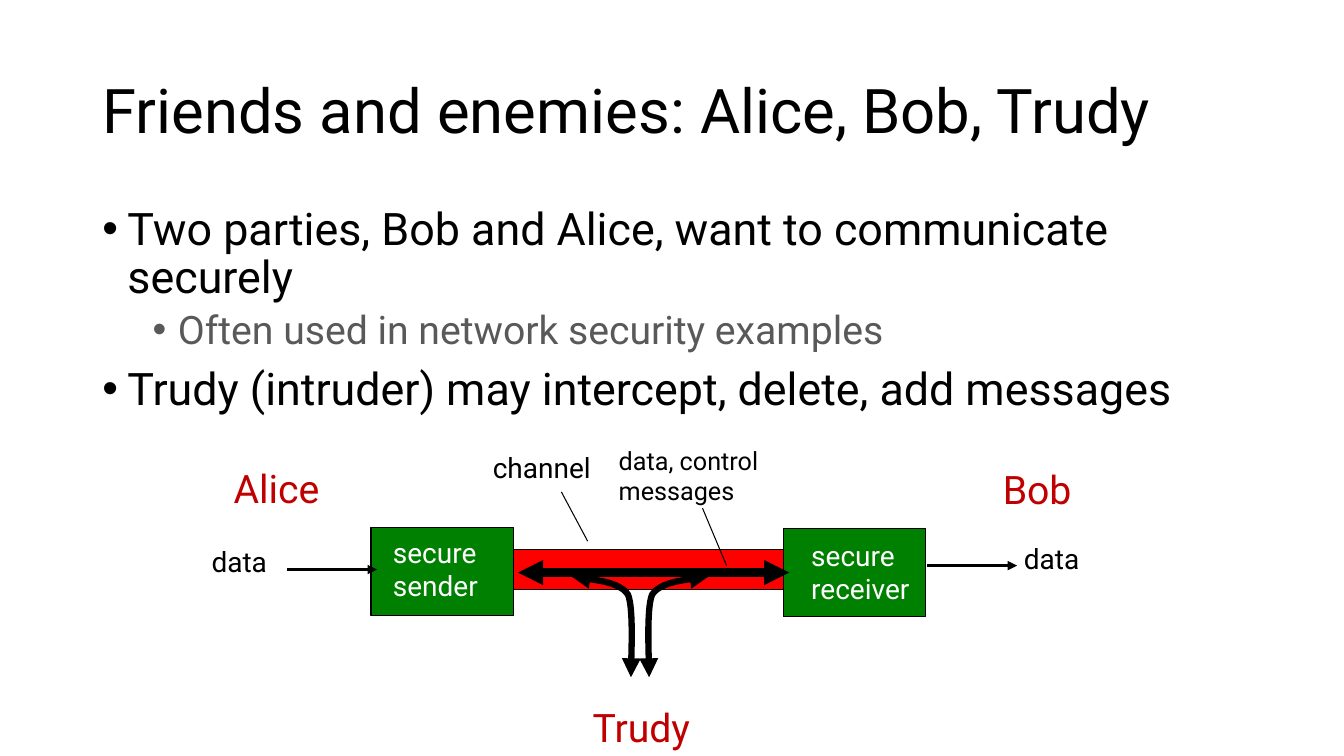
from lxml import etree
from pptx import Presentation
from pptx.dml.color import RGBColor
from pptx.enum.shapes import MSO_CONNECTOR, MSO_SHAPE
from pptx.enum.text import MSO_ANCHOR, MSO_AUTO_SIZE, PP_ALIGN
from pptx.oxml.ns import qn
from pptx.util import Pt

STRAIGHT = MSO_CONNECTOR.STRAIGHT
RECT = MSO_SHAPE.RECTANGLE
LEFT = PP_ALIGN.LEFT
MIDDLE = MSO_ANCHOR.MIDDLE
GROW = MSO_AUTO_SIZE.SHAPE_TO_FIT_TEXT
FONT = "Roboto"
COLORS = {"black": "000000", "gray": "595959", "white": "FFFFFF",
          "green": "008000", "red": "FF0000", "name": "C00000"}


def add_run(para, text, size, color):
    run = para.add_run()
    run.text = text
    run.font.name = FONT
    run.font.size = Pt(size)
    run.font.color.rgb = RGBColor.from_string(COLORS[color])


def set_line(shape, width, ends=()):
    """Give a black line, with arrowheads at the named ends."""
    shape.line.color.rgb = RGBColor.from_string(COLORS["black"])
    shape.line.width = Pt(width)
    for end in ends:
        etree.SubElement(shape.line._ln, qn("a:" + end), type="triangle")


deck = Presentation()
deck.slide_width, deck.slide_height = Pt(960), Pt(540)
slide = deck.slides.add_slide(deck.slide_layouts[5])
shapes = slide.shapes

# Title
title = shapes.title
title.left, title.top, title.width, title.height = Pt(66), Pt(28.8), Pt(828), Pt(104.4)
title.text_frame.vertical_anchor = MIDDLE
para = title.text_frame.paragraphs[0]
para.alignment = LEFT
para.line_spacing = 0.9
add_run(para, "Friends and enemies: Alice, Bob, Trudy", 44, "black")

# Bullets: text, level, size, color, space before
bullets = [
    ("Two parties, Bob and Alice, want to communicate securely", 0, 32, "black", 10),
    ("Often used in network security examples", 1, 28, "gray", 5),
    ("Trudy (intruder) may intercept, delete, add messages", 0, 32, "black", 10),
]
body = shapes.add_textbox(Pt(66), Pt(144), Pt(828), Pt(342.7)).text_frame
body.word_wrap = True
for i, (text, level, size, color, before) in enumerate(bullets):
    para = body.add_paragraph() if i else body.paragraphs[0]
    para.level = level
    para.line_spacing = 0.9
    para.space_before = Pt(before)
    props = para._p.get_or_add_pPr()
    props.set("marL", str(Pt(18 + 36 * level)))
    props.set("indent", str(Pt(-18)))
    etree.SubElement(props, qn("a:buFont"), typeface="Arial")
    etree.SubElement(props, qn("a:buChar"), char="•")
    add_run(para, text, size, color)

# Sender, receiver and the channel between them
boxes = [
    (265, 376.5, 101.5, 63.4, "green"),
    (559.4, 377.3, 101.5, 63.4, "green"),
    (366.5, 392.4, 193, 28.8, "red"),
]
for left, top, width, height, color in boxes:
    box = shapes.add_shape(RECT, Pt(left), Pt(top), Pt(width), Pt(height))
    box.shadow.inherit = False
    box.fill.solid()
    box.fill.fore_color.rgb = RGBColor.from_string(COLORS[color])
    set_line(box, 0.75)

# Lines: from, to, width, arrowheads
lines = [
    (401, 351.4, 419.8, 386.6, 0.75, ()),
    (370, 409, 563.8, 409, 6, ("headEnd", "tailEnd")),
    (501.8, 363, 519, 404, 0.75, ()),
    (205.2, 406.8, 269.3, 406.8, 2.25, ("tailEnd",)),
    (662.4, 404, 726.5, 404, 2.25, ("tailEnd",)),
]
for x1, y1, x2, y2, width, ends in lines:
    line = shapes.add_connector(STRAIGHT, Pt(x1), Pt(y1), Pt(x2), Pt(y2))
    set_line(line, width, ends)
    etree.SubElement(line._element.spPr, qn("a:effectLst"))

# Trudy's taps: one Bezier path, mirrored about the channel's middle
AXIS = 457.2
STEPS = 16
curves = [
    ((408.2, 411.8), (414.7, 414), (441.4, 413.3), (448.6, 424.8)),
    ((448.6, 424.8), (452.9, 434.9), (450.7, 471.6), (450.7, 483.8)),
]
dots = [curves[0][0]]
for curve in curves:
    for step in range(1, STEPS + 1):
        t = step / STEPS
        parts = ((1 - t) ** 3, 3 * t * (1 - t) ** 2, 3 * t * t * (1 - t), t ** 3)
        dots.append(tuple(sum(p * c[k] for p, c in zip(parts, curve)) for k in (0, 1)))
for side in (1, -1):
    path_dots = [(Pt(AXIS + side * (x - AXIS)), Pt(y)) for x, y in dots]
    pen = shapes.build_freeform(*path_dots[0])
    pen.add_line_segments(path_dots[1:], close=False)
    tap = pen.convert_to_shape()
    tap.shadow.inherit = False
    tap.fill.background()
    set_line(tap, 4.5, ("headEnd", "tailEnd"))

# Labels: lines of text, place, size, color, wrap
labels = [
    (["secure", "sender"], 273.6, 378.7, 76.3, 55.4, 20, "white", False),
    (["secure", "receiver"], 572.4, 380.9, 86.4, 55.4, 20, "white", False),
    (["channel"], 344.9, 318.2, 85, 31.7, 20, "black", False),
    (["data, control messages"], 434.9, 314.6, 149, 50.4, 18, "black", True),
    (["data"], 144, 385.2, 54, 31.7, 20, "black", False),
    (["data"], 724.3, 383, 54, 31.7, 20, "black", False),
    (["Alice"], 159.8, 328.3, 75.6, 41, 28, "name", False),
    (["Bob"], 709.2, 329, 64.8, 41, 28, "name", False),
    (["Trudy"], 416.2, 499, 85.7, 41, 28, "name", False),
]
for texts, left, top, width, height, size, color, wrap in labels:
    frame = shapes.add_textbox(Pt(left), Pt(top), Pt(width), Pt(height)).text_frame
    frame.word_wrap = wrap
    frame.auto_size = GROW
    for i, text in enumerate(texts):
        para = frame.add_paragraph() if i else frame.paragraphs[0]
        add_run(para, text, size, color)

deck.save("out.pptx")
